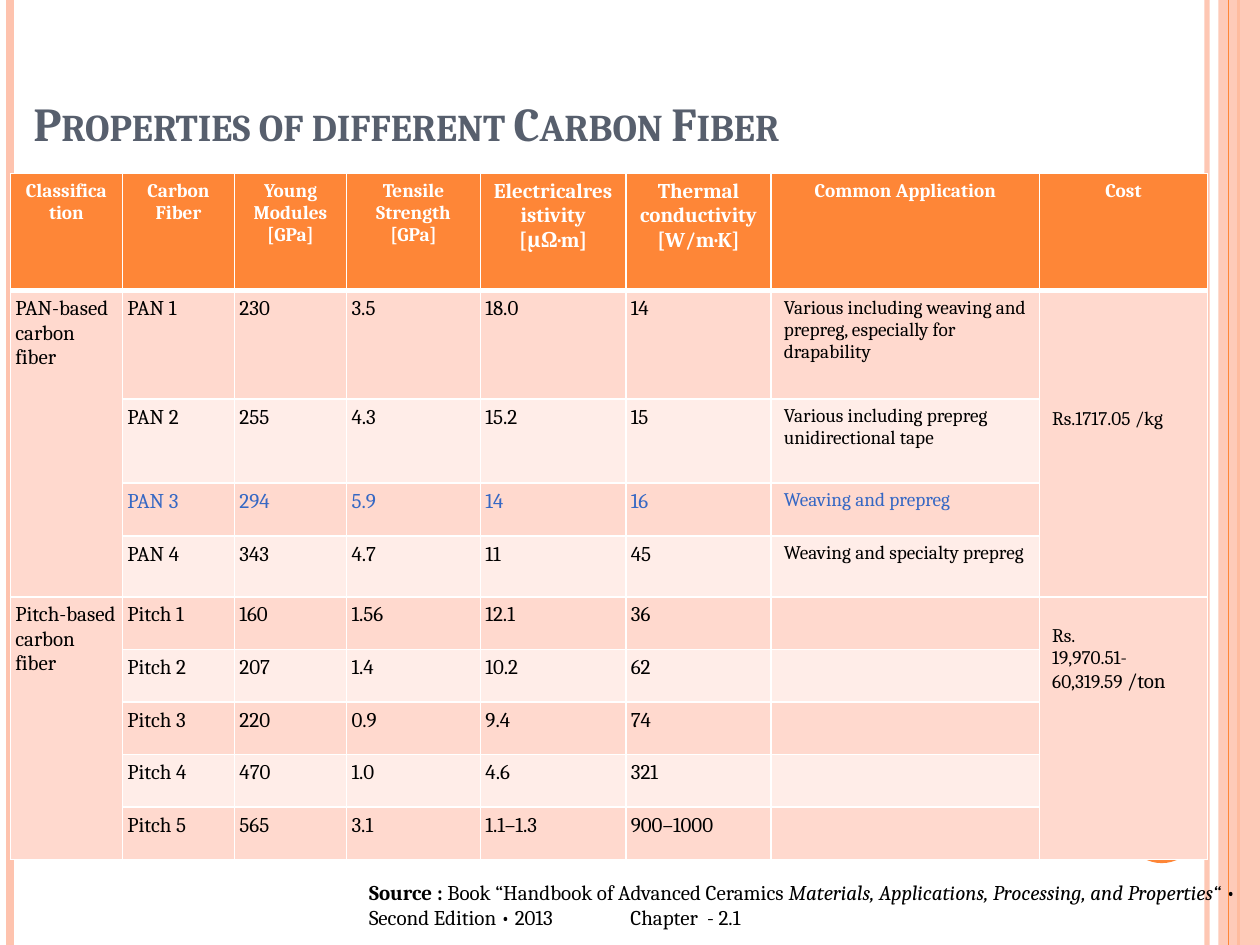
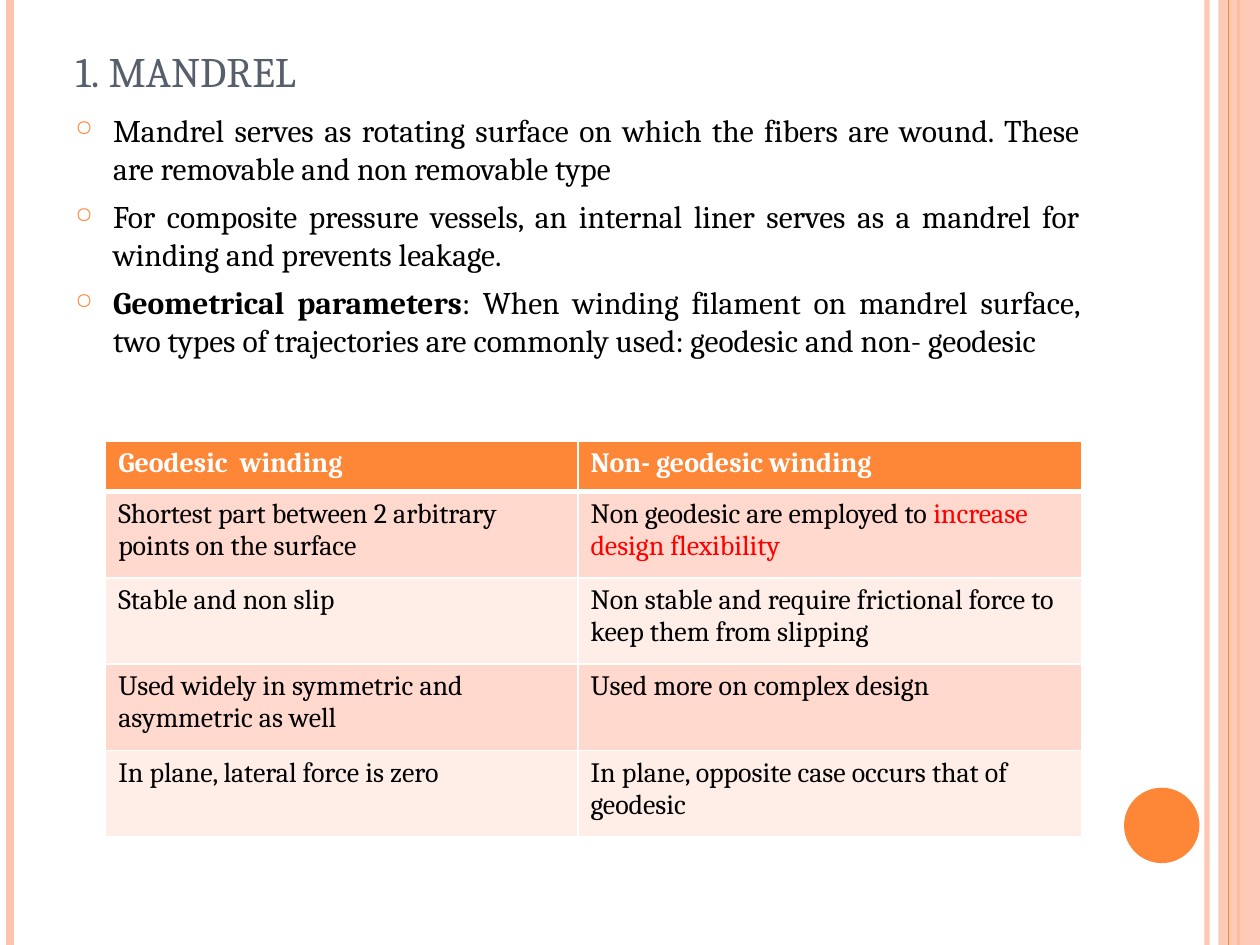
from lxml import etree
from pptx import Presentation
from pptx.dml.color import RGBColor
from pptx.enum.shapes import MSO_CONNECTOR, MSO_SHAPE
from pptx.enum.text import MSO_ANCHOR, MSO_AUTO_SIZE, PP_ALIGN
from pptx.oxml import parse_xml
from pptx.oxml.ns import nsdecls, qn
from pptx.util import Cm, Pt

FONT = "Cambria"
ORANGE = RGBColor(0xFE, 0x86, 0x37)
PEACH = RGBColor(0xFE, 0xC3, 0xAE)
BAND_DARK = RGBColor(0xFF, 0xD9, 0xCE)
BAND_LIGHT = RGBColor(0xFF, 0xED, 0xE8)
SLATE = RGBColor(0x57, 0x5F, 0x6D)
BLUE = RGBColor(0x36, 0x68, 0xC4)
RED = RGBColor(0xFF, 0, 0)
BLACK = RGBColor(0, 0, 0)
WHITE = RGBColor(0xFF, 0xFF, 0xFF)
STRAIGHT = MSO_CONNECTOR.STRAIGHT
RECTANGLE, OVAL = MSO_SHAPE.RECTANGLE, MSO_SHAPE.OVAL
LEFT, CENTER, JUSTIFY = PP_ALIGN.LEFT, PP_ALIGN.CENTER, PP_ALIGN.JUSTIFY
BOTTOM = MSO_ANCHOR.BOTTOM
NO_AUTOFIT = MSO_AUTO_SIZE.NONE

SLIDE_WIDTH, SLIDE_HEIGHT = 25.4, 19.05
LINES_UNDER_BAND = [(24.33, PEACH, 3, 93), (0.2, PEACH, 4.5, 100), (24.97, ORANGE, 1.5, 100)]
LINE_OVER_BAND = (24.77, ORANGE, 0.75, 100)

FIBER_TITLE = "Properties of different Carbon Fiber"
FIBER_HEADER = [
    "Classification", "Carbon Fiber", "Young Modules\n[GPa]", "Tensile Strength [GPa]",
    "Electricalresistivity [μΩ·m]", "Thermal conductivity [W/m·K]", "Common Application", "Cost",
]
FIBER_GROUPS = [
    ("PAN-based carbon fiber", "Rs.1717.05 /kg", 2.37, [
        ("PAN 1", "230", "3.5", "18.0", "14",
         "Various including weaving and prepreg, especially for drapability"),
        ("PAN 2", "255", "4.3", "15.2", "15", "Various including prepreg unidirectional tape"),
        ("PAN 3", "294", "5.9", "14", "16", "Weaving and prepreg"),
        ("PAN 4", "343", "4.7", "11", "45", "Weaving and specialty prepreg"),
    ]),
    ("Pitch-based carbon fiber",
     [["Rs."], ["19,970.51-60,319.59 ", ("/ton", {"size": 12})]], 0.57, [
        ("Pitch 1", "160", "1.56", "12.1", "36", ""),
        ("Pitch 2", "207", "1.4", "10.2", "62", ""),
        ("Pitch 3", "220", "0.9", "9.4", "74", ""),
        ("Pitch 4", "470", "1.0", "4.6", "321", ""),
        ("Pitch 5", "565", "3.1", "1.1–1.3", "900–1000", ""),
    ]),
]
HIGHLIGHTED_FIBER = "PAN 3"
FIBER_WIDTHS = [2.26, 2.26, 2.26, 2.7, 2.93, 2.93, 5.41, 3.38]
FIBER_HEIGHTS = [2.36, 2.18, 1.7, 1.07, 1.22] + [1.06] * 5
APPLICATION_COLUMN, COST_COLUMN = 6, 7
SOURCE = [[
    ("Source : ", {"bold": True}),
    "Book “Handbook of Advanced Ceramics ",
    ("Materials, Applications, Processing, and Properties“ ", {"italic": True}),
    "• Second Edition • 2013\tChapter  - 2.1",
]]

MANDREL_TITLE = "1. mandrel"
MANDREL_POINTS = [
    ["Mandrel serves as rotating surface on which the fibers are wound. "
     "These are removable and non removable type"],
    ["For composite pressure vessels, an internal liner serves as a mandrel for winding "
     "and prevents leakage."],
    [("Geometrical parameters", {"bold": True}),
     ": When winding filament on mandrel surface, two types of trajectories are commonly used: "
     "geodesic and non- geodesic"],
]
WINDING_ROWS = [
    ("Geodesic  winding", "Non- geodesic winding"),
    ("Shortest part between 2 arbitrary points on the surface",
     [["Non geodesic are employed to ", ("increase design flexibility", {"color": RED})]]),
    ("Stable and non slip", "Non stable and require frictional force to keep them from slipping"),
    ("Used widely in symmetric and asymmetric as well", "Used more on complex design"),
    ("In plane, lateral force is zero", "In plane, opposite case occurs that of geodesic"),
]
WINDING_WIDTHS = [9.52, 10.16]
WINDING_HEIGHTS = [1.01] + [1.74] * 4


def write_text(text_frame, content, size, color=BLACK, bold=False, align=LEFT):
    if isinstance(content, str):
        content = [[line] for line in content.split("\n")]
    for index, parts in enumerate(content):
        paragraph = text_frame.add_paragraph() if index else text_frame.paragraphs[0]
        paragraph.alignment = align
        for part in parts:
            text, changes = (part, {}) if isinstance(part, str) else part
            style = {"size": size, "color": color, "bold": bold, "italic": False, **changes}
            run = paragraph.add_run()
            run.text = text
            run.font.name = FONT
            run.font.size = Pt(style["size"])
            run.font.bold = style["bold"]
            run.font.italic = style["italic"]
            run.font.color.rgb = style["color"]


def set_opacity(fill_parent, percent):
    color = next(fill_parent.iter(qn("a:srgbClr")))
    etree.SubElement(color, qn("a:alpha")).set("val", str(percent * 1000))


def add_vertical_line(slide, x, color, width, opacity):
    line = slide.shapes.add_connector(STRAIGHT, Cm(x), 0, Cm(x), Cm(SLIDE_HEIGHT))
    line.line.color.rgb = color
    line.line.width = Pt(width)
    properties = line._element.spPr
    if opacity < 100:
        set_opacity(properties, opacity)
    etree.SubElement(properties, qn("a:effectLst"))


def add_plain_shape(slide, kind, left, top, width, height, color):
    shape = slide.shapes.add_shape(kind, Cm(left), Cm(top), Cm(width), Cm(height))
    shape.shadow.inherit = False
    shape.fill.solid()
    shape.fill.fore_color.rgb = color
    shape.line.fill.background()
    return shape


def add_framed_slide(presentation, title_text, title_box, size, bold):
    slide = presentation.slides.add_slide(presentation.slide_layouts[5])
    for line in LINES_UNDER_BAND:
        add_vertical_line(slide, *line)
    band = add_plain_shape(slide, RECTANGLE, 24.56, 0, 0.84, SLIDE_HEIGHT, PEACH)
    set_opacity(band._element.spPr, 87)
    add_vertical_line(slide, *LINE_OVER_BAND)
    add_plain_shape(slide, OVAL, 22.66, 15.88, 1.52, 1.52, ORANGE)

    title = slide.shapes.title
    title.left, title.top, title.width, title.height = map(Cm, title_box)
    text_frame = title.text_frame
    text_frame.auto_size = NO_AUTOFIT
    text_frame.vertical_anchor = BOTTOM
    write_text(text_frame, title_text, size, SLATE, bold)
    text_frame.paragraphs[0].runs[0].font._element.set("cap", "small")
    return slide


def add_text_box(slide, left, top, width, height):
    box = slide.shapes.add_textbox(Cm(left), Cm(top), Cm(width), Cm(height))
    box.text_frame.word_wrap = True
    return box.text_frame


def style_cell(cell, row):
    cell.fill.solid()
    cell.fill.fore_color.rgb = ORANGE if row == 0 else BAND_DARK if row % 2 else BAND_LIGHT
    widths = {"L": 1, "R": 1, "T": 3 if row == 1 else 1, "B": 3 if row == 0 else 1}
    for position, (side, width) in enumerate(widths.items()):
        border = parse_xml(
            f'<a:ln{side} {nsdecls("a")} w="{Pt(width)}"><a:solidFill>'
            f'<a:srgbClr val="{WHITE}"/></a:solidFill></a:ln{side}>')
        cell._tc.get_or_add_tcPr().insert(position, border)


def add_banded_table(slide, left, top, widths, heights):
    table = slide.shapes.add_table(
        len(heights), len(widths), Cm(left), Cm(top), Cm(sum(widths)), Cm(sum(heights))).table
    for column, width in zip(table.columns, widths):
        column.width = Cm(width)
    for index, height in enumerate(heights):
        table.rows[index].height = Cm(height)
        for cell in table.rows[index].cells:
            style_cell(cell, index)
    return table


def write_narrow_cell(cell, text, color=BLACK):
    cell.margin_left = cell.margin_right = Cm(0.1)
    write_text(cell.text_frame, text, 12, color)


def build_fiber_slide(presentation):
    slide = add_framed_slide(presentation, FIBER_TITLE, (0.42, 0.76, 21.59, 2.41), 27, True)
    table = add_banded_table(slide, 0.21, 3.5, FIBER_WIDTHS, FIBER_HEIGHTS)
    for column, heading in enumerate(FIBER_HEADER):
        size = 12 if column in (4, 5) else 11
        write_text(table.cell(0, column).text_frame, heading, size, WHITE, True, CENTER)

    first_row = 1
    for classification, cost, cost_margin, fibers in FIBER_GROUPS:
        last_row = first_row + len(fibers) - 1
        for column in (0, COST_COLUMN):
            table.cell(first_row, column).merge(table.cell(last_row, column))
        write_narrow_cell(table.cell(first_row, 0), classification)
        cost_cell = table.cell(first_row, COST_COLUMN)
        cost_cell.margin_top = Cm(cost_margin)
        write_text(cost_cell.text_frame, cost, 11)
        for row, (*values, application) in enumerate(fibers, first_row):
            color = BLUE if values[0] == HIGHLIGHTED_FIBER else BLACK
            for column, value in enumerate(values, 1):
                write_narrow_cell(table.cell(row, column), value, color)
            if application:
                write_text(table.cell(row, APPLICATION_COLUMN).text_frame, application, 11, color)
        first_row = last_row + 1

    text_frame = add_text_box(slide, 7.19, 17.6, 18.01, 1.27)
    properties = text_frame.paragraphs[0]._p.get_or_add_pPr()
    tabs = etree.SubElement(properties, qn("a:tabLst"))
    etree.SubElement(tabs, qn("a:tab"), pos=str(Cm(5.27)), algn="l")
    write_text(text_frame, SOURCE, 12)


def add_ring_bullet(paragraph):
    properties = paragraph._p.get_or_add_pPr()
    properties.set("marL", str(Cm(0.76)))
    properties.set("indent", str(-Cm(0.76)))
    color = etree.SubElement(properties, qn("a:buClr"))
    etree.SubElement(color, qn("a:srgbClr"), val=str(ORANGE))
    etree.SubElement(properties, qn("a:buSzPct"), val="70000")
    etree.SubElement(properties, qn("a:buChar"), char="○")


def build_mandrel_slide(presentation):
    slide = add_framed_slide(presentation, MANDREL_TITLE, (1.27, 0, 20.75, 2.11), 30, False)
    table = add_banded_table(slide, 2.13, 8.9, WINDING_WIDTHS, WINDING_HEIGHTS)
    for row, contents in enumerate(WINDING_ROWS):
        for column, content in enumerate(contents):
            color = BLACK if row else WHITE
            write_text(table.cell(row, column).text_frame, content, 16, color, row == 0)

    text_frame = add_text_box(slide, 1.27, 2.11, 20.75, 5.6)
    write_text(text_frame, MANDREL_POINTS, 18, align=JUSTIFY)
    for index, paragraph in enumerate(text_frame.paragraphs):
        add_ring_bullet(paragraph)
        if index:
            paragraph.space_before = Pt(6)


def main():
    presentation = Presentation()
    presentation.slide_width = Cm(SLIDE_WIDTH)
    presentation.slide_height = Cm(SLIDE_HEIGHT)
    build_fiber_slide(presentation)
    build_mandrel_slide(presentation)
    presentation.save("out.pptx")


if __name__ == "__main__":
    main()
